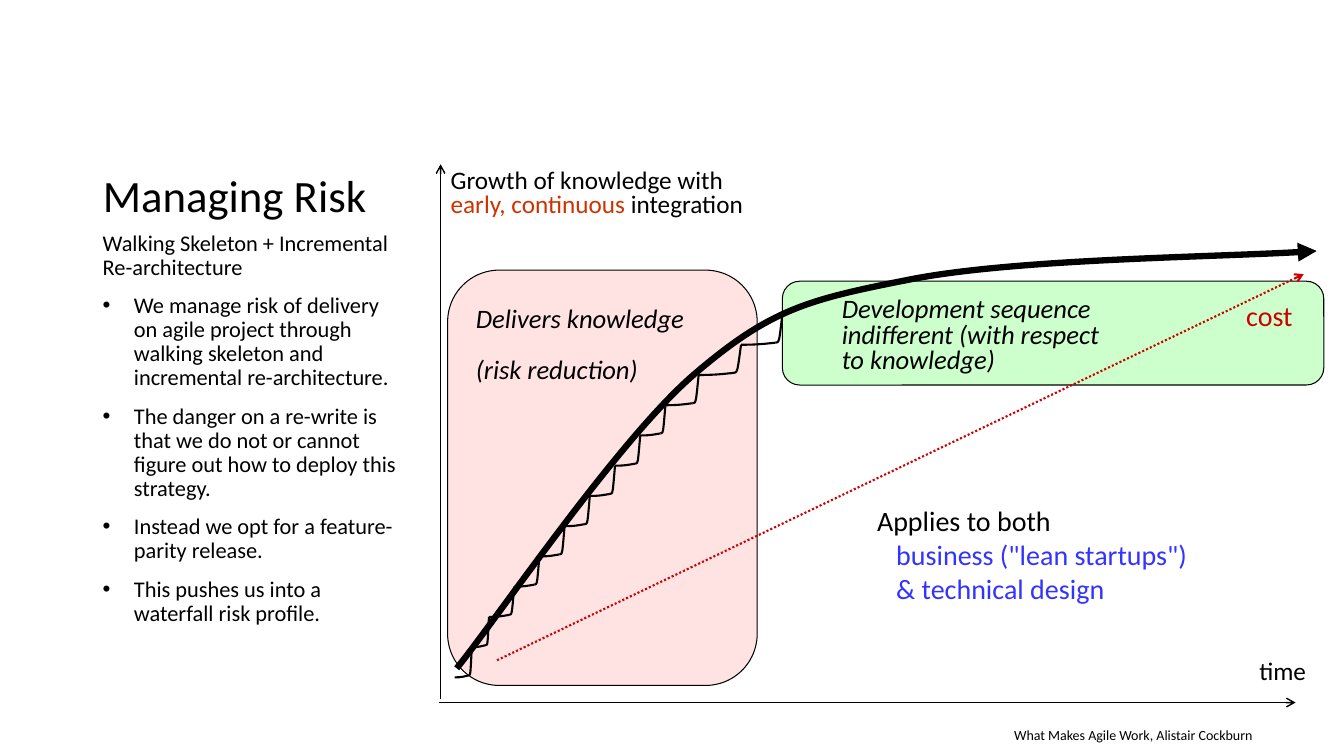
from lxml.etree import SubElement
from pptx import Presentation
from pptx.dml.color import RGBColor
from pptx.enum.dml import MSO_LINE
from pptx.enum.shapes import MSO_CONNECTOR, MSO_SHAPE
from pptx.enum.text import MSO_ANCHOR, MSO_AUTO_SIZE, PP_ALIGN
from pptx.oxml.ns import qn
from pptx.util import Inches, Pt

BLACK, RED, ORANGE, BLUE = "000000", "CC0000", "CC3300", "3333FF"


def write_text(frame, text, size, color=BLACK, italic=False, spacing=None,
               before=0, indent=0, bullet=None):
    """Add a paragraph; text is a string or a list of (string, color) runs."""
    paragraph = frame.paragraphs[0]
    if paragraph.runs:
        paragraph = frame.add_paragraph()
    paragraph.alignment = PP_ALIGN.LEFT
    paragraph.line_spacing = spacing
    paragraph.space_before = Pt(before)
    properties = paragraph._p.get_or_add_pPr()
    if indent:
        properties.set("marL", str(Inches(indent)))
    if bullet:
        properties.set("indent", str(-Inches(indent)))
        SubElement(properties, qn("a:buFont"), typeface="Arial")
        SubElement(properties, qn("a:buChar"), char=bullet)
    for words, run_color in [(text, color)] if isinstance(text, str) else text:
        for number, line in enumerate(words.split("\n")):
            if number:
                paragraph.add_line_break()
            if line:
                run = paragraph.add_run()
                run.text = line
                run.font.name = "Calibri"
                run.font.size = Pt(size)
                run.font.italic = italic
                run.font.color.rgb = RGBColor.from_string(run_color)


def set_line(shape, width, color=BLACK, dash=None, arrow=None):
    """Style the outline and switch the shadow off."""
    shape.line.color.rgb = RGBColor.from_string(color)
    shape.line.width = Pt(width)
    if dash:
        shape.line.dash_style = dash
    if arrow:
        SubElement(shape.line._get_or_add_ln(), qn("a:tailEnd"), type=arrow)
    SubElement(shape._element.spPr, qn("a:effectLst"))


presentation = Presentation()
presentation.slide_width = Inches(13.33)
presentation.slide_height = Inches(7.5)
slide = presentation.slides.add_slide(presentation.slide_layouts[5])
shapes = slide.shapes

# Title
title = shapes.title
title.left, title.top = Inches(0.92), Inches(0.5)
title.width, title.height = Inches(3.12), Inches(1.75)
title.text_frame.auto_size = MSO_AUTO_SIZE.NONE
title.text_frame.vertical_anchor = MSO_ANCHOR.BOTTOM
write_text(title.text_frame, "Managing Risk", 32, spacing=0.9)

# Explanation on the left
body = shapes.add_textbox(Inches(0.92), Inches(2.25), Inches(3.12), Inches(4.17)).text_frame
body.word_wrap = True
write_text(body, "Walking Skeleton + Incremental Re-architecture", 16, spacing=0.9, before=10)
for point in (
    "We manage risk of delivery on agile project through walking skeleton "
    "and incremental re-architecture.",
    "The danger on a re-write is that we do not or cannot figure out how to "
    "deploy this strategy.",
    "Instead we opt for a feature-parity release.",
    "This pushes us into a waterfall risk profile.",
):
    write_text(body, point, 16, spacing=0.9, before=10, indent=0.31, bullet="•")

# Phase panels
for left, top, width, height, fill in (
    (7.76, 2.79, 5.37, 1.03, "CCFFCC"),
    (4.44, 2.68, 3.07, 4.12, "FFE3E3"),
):
    panel = shapes.add_shape(MSO_SHAPE.ROUNDED_RECTANGLE, Inches(left), Inches(top),
                             Inches(width), Inches(height))
    panel.fill.solid()
    panel.fill.fore_color.rgb = RGBColor.from_string(fill)
    set_line(panel, 0.75)

# Axes and cost line
for x1, y1, x2, y2, style in (
    (4.37, 6.93, 4.37, 1.63, {"width": 1}),
    (4.35, 6.97, 12.85, 6.97, {"width": 1}),
    (4.93, 6.55, 12.93, 2.72, {"width": 1.5, "color": RED, "dash": MSO_LINE.ROUND_DOT}),
):
    connector = shapes.add_connector(MSO_CONNECTOR.STRAIGHT, Inches(x1), Inches(y1),
                                     Inches(x2), Inches(y2))
    set_line(connector, arrow="arrow", **style)

# Knowledge curve and the staircase of integrations, as Bezier control points
knowledge = [(4.53, 6.63), (4.92, 6.15), (6.14, 4.35), (6.89, 3.71), (7.65, 3.06),
             (8.02, 2.97), (9.04, 2.77), (10.07, 2.57), (12.22, 2.55), (13.06, 2.49)]
curves = [(knowledge, 4.5, "triangle")]
risers = [(4.65, 4.68), (4.82, 4.85)]
risers += [(5.05 + 0.25 * step, 5.1 + 0.25 * step) for step in range(7)]
risers += [(6.87, 6.93), (7.27, 7.35), (7.69, 7.76)]
x, y, rise = 4.51, 6.72, 0.3
for foot, head in risers:
    run, lean = foot - x, head - foot
    tread = [(x, y), (x + run / 2, y), (x + run * 0.7, y - 0.01), (foot, y - 0.02)]
    riser = [(foot, y - 0.02), (foot + lean * 0.2, y - 0.03), (foot + lean * 0.4, y - 0.01),
             (foot + lean * 0.55, y - 0.06), (foot + lean * 0.7, y - 0.11),
             (foot + lean * 0.9, y - 0.25), (head, y - rise)]
    curves += [(tread, 1.5, None), (riser, 1.5, None)]
    x, y = head, y - rise

for points, width, arrow in curves:
    start, *others = [(Inches(px), Inches(py)) for px, py in points]
    builder = shapes.build_freeform(*start)
    builder.add_line_segments(others, close=False)
    curve = builder.convert_to_shape()
    segments = list(curve._element.iter(qn("a:lnTo")))
    for first in range(0, len(segments), 3):
        outline = segments[first].getparent()
        bezier = SubElement(outline, qn("a:cubicBezTo"))
        for segment in segments[first:first + 3]:
            bezier.append(segment[0])
            outline.remove(segment)
    curve.fill.background()
    set_line(curve, width, arrow=arrow)

# Labels in the chart
labels = (
    (8.35, 2.96, 2.64, 0.76, 19, True,
     [("Development sequence", 0), ("indifferent (with respect\nto knowledge)", 0)]),
    (4.72, 3.06, 2.12, 0.76, 19, True,
     [("Delivers knowledge", 0), ("(risk reduction)", 18)]),
    (12.49, 6.56, 0.47, 0.24, 18, False, [("time", 0)]),
    (12.36, 3.03, 0.47, 0.27, 20, False, [([("cost", RED)], 0)]),
    (4.47, 1.69, 2.93, 0.48, 18, False,
     [([("Growth of knowledge with\n", BLACK), ("early, continuous", ORANGE),
        (" integration", BLACK)], 0)]),
)
for left, top, width, height, size, italic, paragraphs in labels:
    frame = shapes.add_textbox(Inches(left), Inches(top), Inches(width), Inches(height)).text_frame
    frame.word_wrap = False
    frame.margin_left = frame.margin_right = frame.margin_top = frame.margin_bottom = 0
    for text, before in paragraphs:
        write_text(frame, text, size, italic=italic, spacing=0.8, before=before)

# Remark and credit
remark = shapes.add_textbox(Inches(8.6), Inches(4.95), Inches(3.31), Inches(1.11)).text_frame
remark.word_wrap = False
write_text(remark, "Applies to both", 20)
for scope in ('business ("lean startups")', "& technical design"):
    write_text(remark, scope, 20, color=BLUE, indent=0.19)

credit = shapes.add_textbox(Inches(9.96), Inches(7.16), Inches(2.92), Inches(0.27)).text_frame
credit.word_wrap = True
write_text(credit, "What Makes Agile Work, Alistair Cockburn", 10)

presentation.save("out.pptx")
